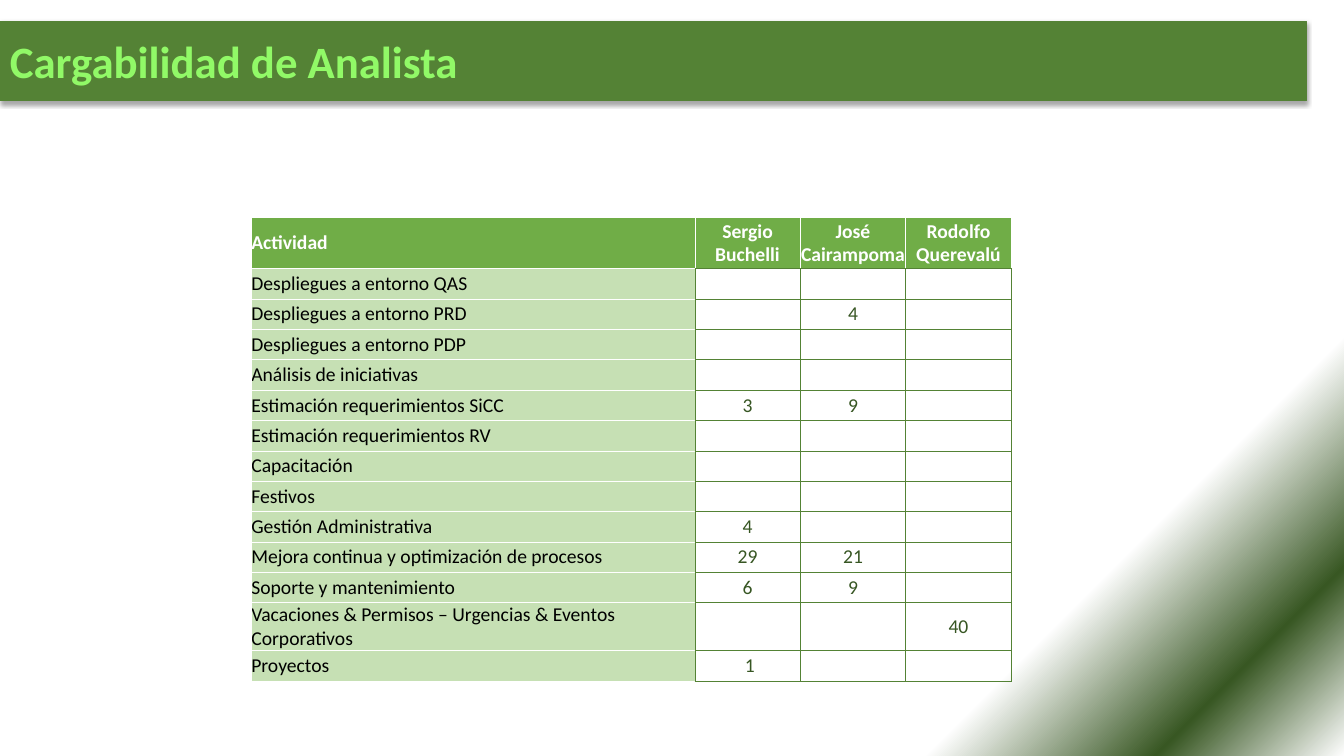
from pptx import Presentation, util as u
from pptx.dml.color import RGBColor
from pptx.enum import shapes, text
from pptx.oxml import parse_xml
from pptx.oxml.ns import nsdecls

HUES = {"bar": "548235", "title": "91F967", "head": "70AD47", "label": "C6E0B4",
        "value": "375623", "edge": "548235", "white": "FFFFFF", "black": "000000",
        "band": "385723"}


class Deck:
    font = "Calibri"

    def __init__(self, wide, high):
        self.prs = Presentation()
        self.prs.slide_width = u.Inches(wide)
        self.prs.slide_height = u.Inches(high)
        self.slide = self.prs.slides.add_slide(self.prs.slide_layouts[6])

    def x(self, share):
        return int(self.prs.slide_width * share / 100)

    def y(self, share):
        return int(self.prs.slide_height * share / 100)

    def tint(self, fill, hue):
        fill.solid()
        fill.fore_color.rgb = RGBColor.from_string(HUES[hue])

    def label(self, frame, words, size, hue, bold=False, align="LEFT"):
        frame.text = words
        for para in frame.paragraphs:
            para.alignment = getattr(text.PP_ALIGN, align)
            para._p.get_or_add_endParaRPr().set("sz", str(size * 100))
            for run in para.runs:
                run.font.name = self.font
                run.font.size = u.Pt(size)
                run.font.bold = bold
                run.font.color.rgb = RGBColor.from_string(HUES[hue])

    def back(self, stops, angle):
        marks = "".join(f'<a:gs pos="{at * 1000}"><a:srgbClr val="{HUES[hue]}"/></a:gs>'
                        for at, hue in stops)
        self.slide._element.cSld.insert(0, parse_xml(
            f'<p:bg {nsdecls("p", "a")}><p:bgPr><a:gradFill rotWithShape="1">'
            f'<a:gsLst>{marks}</a:gsLst><a:lin ang="{angle * 60000}" scaled="0"/>'
            '</a:gradFill><a:effectLst/></p:bgPr></p:bg>'))

    def banner(self, words, left, top, wide, high):
        bar = self.slide.shapes.add_shape(shapes.MSO_SHAPE.RECTANGLE, self.x(left),
                                          self.y(top), self.x(wide), self.y(high))
        self.tint(bar.fill, "bar")
        self.tint(bar.line.fill, "bar")
        bar.line.width = u.Pt(0.75)
        bar.shadow.inherit = False
        bar._element.spPr.find("{*}effectLst").append(parse_xml(
            f'<a:outerShdw {nsdecls("a")} blurRad="{u.Pt(3.1)}" dist="{u.Pt(1.8)}" '
            f'dir="5400000" rotWithShape="0"><a:srgbClr val="{HUES["black"]}">'
            '<a:alpha val="35000"/></a:srgbClr></a:outerShdw>'))
        bar.text_frame.word_wrap = True
        bar.text_frame.vertical_anchor = text.MSO_ANCHOR.MIDDLE
        self.label(bar.text_frame, words, 32, "title", True)

    def cell(self, cell, words, fill, hue, edges, bold=False, align="LEFT"):
        cell.margin_left = cell.margin_right = cell.margin_top = cell.margin_bottom = 0
        cell.vertical_anchor = text.MSO_ANCHOR.MIDDLE
        self.label(cell.text_frame, words, 14, hue, bold, align)
        if fill:
            self.tint(cell.fill, fill)
        else:
            cell.fill.background()
        props = cell._tc.get_or_add_tcPr()
        for spot, (side, edge) in enumerate(zip("LRTB", edges)):
            props.insert(spot, parse_xml(
                f'<a:ln{side} {nsdecls("a")} w="{u.Pt(0.5)}"><a:solidFill>'
                f'<a:srgbClr val="{HUES[edge]}"/></a:solidFill></a:ln{side}>'))

    def table(self, data, left, top, cols, rows):
        grid = self.slide.shapes.add_table(
            len(rows), len(cols), self.x(left), self.y(top),
            self.x(sum(cols)), self.y(sum(rows))).table
        grid.first_row = grid.horz_banding = False
        for col, share in zip(grid.columns, cols):
            col.width = self.x(share)
        for row, share in zip(grid.rows, rows):
            row.height = self.y(share)
        for r, line in enumerate(data):
            for c, words in enumerate(line):
                align = "CENTER" if c else "LEFT"
                if r == 0:
                    low = "edge" if c else "white"
                    look = "head", "white", ["white"] * 3 + [low], True
                elif c == 0:
                    look = "label", "black", ["white", "edge", "white", "white"], False
                else:
                    look = None, "value", ["edge"] * 4, False
                self.cell(grid.cell(r, c), words, *look, align)


LOADS = [
    ("Actividad", "Sergio Buchelli", "José Cairampoma", "Rodolfo Querevalú"),
    ("Despliegues a entorno QAS", "", "", ""),
    ("Despliegues a entorno PRD", "", "4", ""),
    ("Despliegues a entorno PDP", "", "", ""),
    ("Análisis de iniciativas", "", "", ""),
    ("Estimación requerimientos SiCC", "3", "9", ""),
    ("Estimación requerimientos RV", "", "", ""),
    ("Capacitación", "", "", ""),
    ("Festivos", "", "", ""),
    ("Gestión Administrativa", "4", "", ""),
    ("Mejora continua y optimización de procesos", "29", "21", ""),
    ("Soporte y mantenimiento", "6", "9", ""),
    ("Vacaciones & Permisos – Urgencias & Eventos Corporativos", "", "", "40"),
    ("Proyectos", "\u00a01", "", ""),
]

deck = Deck(13.33, 7.5)
deck.back([(0, "white"), (9, "band"), (20, "white")], 225)
deck.banner("Cargabilidad de Analista", 0, 2.8, 97.2, 10.55)
deck.table(LOADS, 18.7, 28.8, [33] + [7.85] * 3, [6.75] + [4.02] * 11 + [6.35, 4.02])
deck.prs.save("out.pptx")
